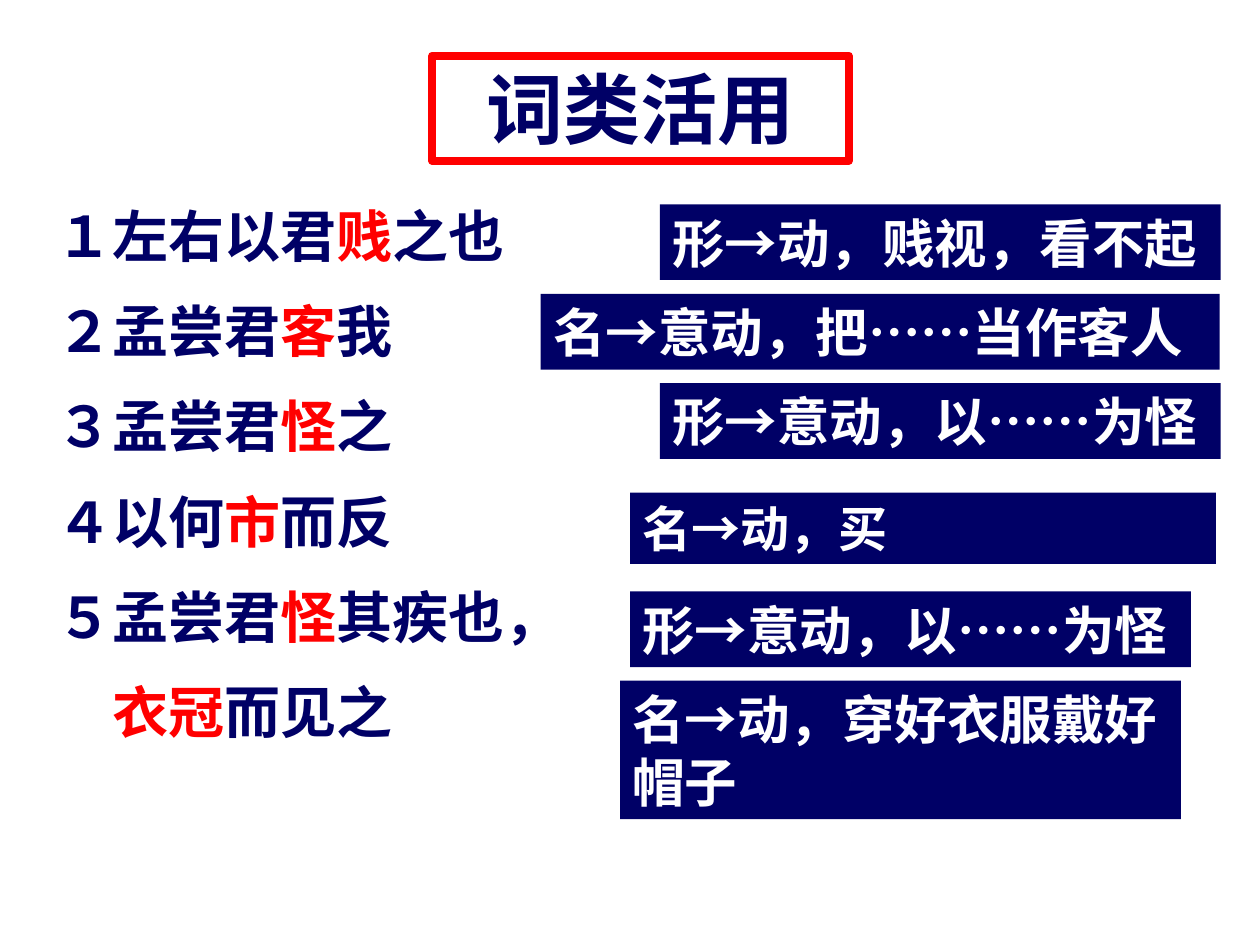
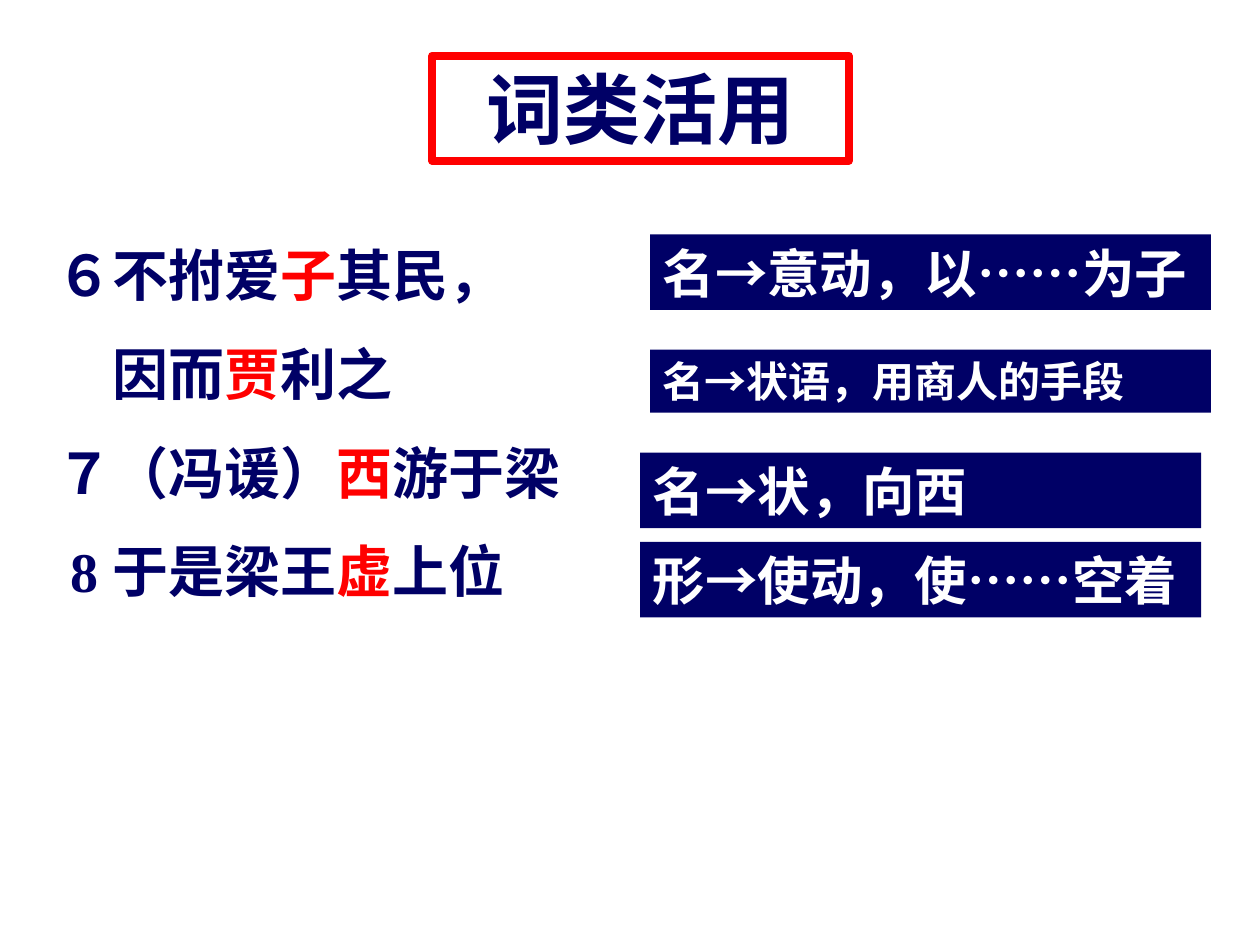
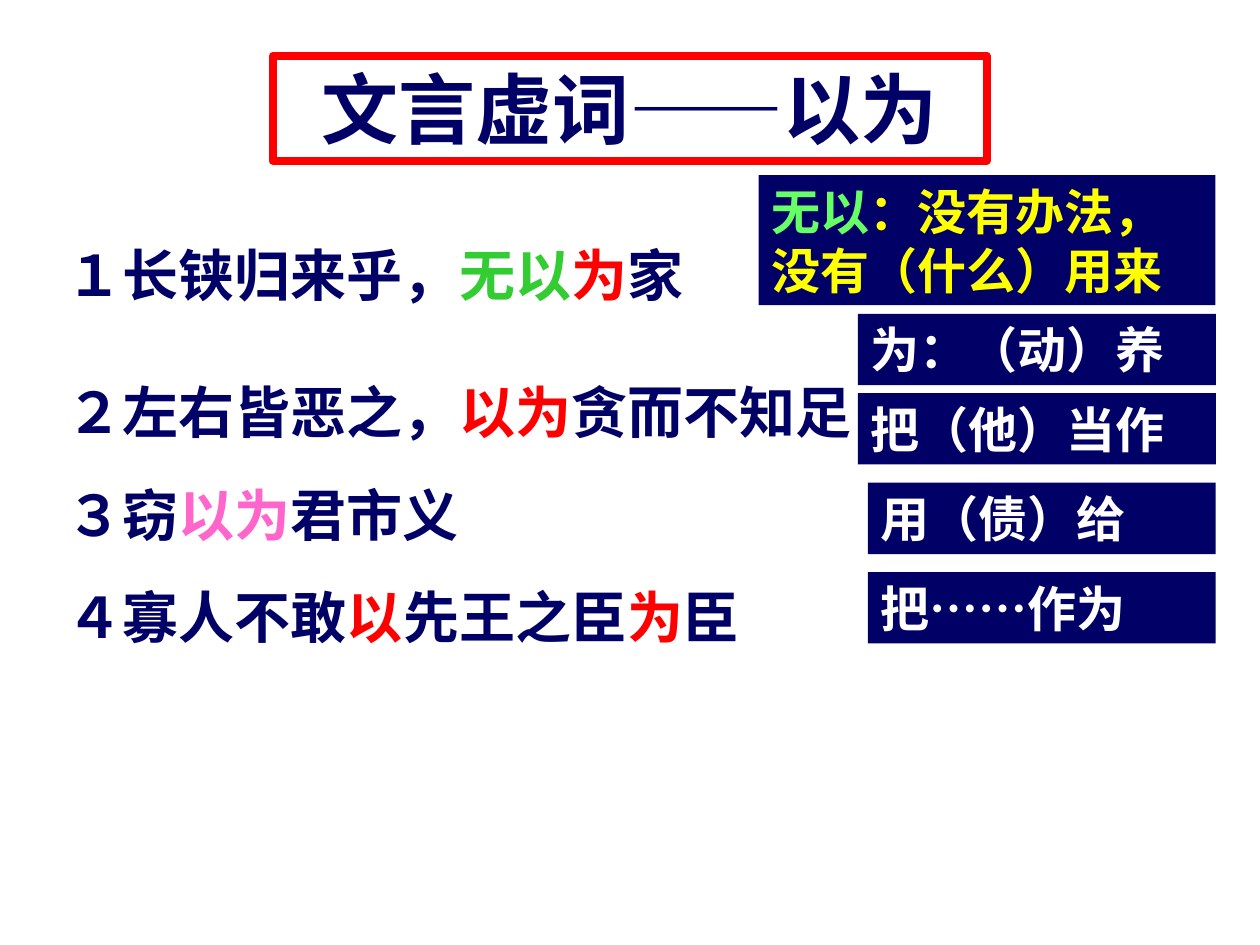
"""Build three slides on word-class shifts and function words in classical Chinese."""
import pptx
import pptx.dml.color
import pptx.enum.shapes
import pptx.enum.text
import pptx.util

Pt = pptx.util.Pt
RGBColor = pptx.dml.color.RGBColor

NAVY = RGBColor(0x00, 0x00, 0x66)
RED = RGBColor(0xFF, 0x00, 0x00)
WHITE = RGBColor(0xFF, 0xFF, 0xFF)
GREEN = RGBColor(0x33, 0xCC, 0x33)
LIGHT_GREEN = RGBColor(0x66, 0xFF, 0x66)
PINK = RGBColor(0xFF, 0x66, 0xCC)
YELLOW = RGBColor(0xFF, 0xFF, 0x00)

FONT = "Times New Roman"
TITLE_SIZE = 44
SENTENCE_SIZE = 32
LINE_HEIGHT = 1.2
INSET_HEIGHT = 7.2


def fill_text(shape, size, paragraphs):
    """Write paragraphs, each a list of (text, colour) runs, into a shape."""
    frame = shape.text_frame
    frame.word_wrap = True
    frame.auto_size = pptx.enum.text.MSO_AUTO_SIZE.SHAPE_TO_FIT_TEXT
    frame.vertical_anchor = pptx.enum.text.MSO_ANCHOR.TOP
    for index, runs in enumerate(paragraphs):
        paragraph = frame.paragraphs[0] if index == 0 else frame.add_paragraph()
        paragraph.alignment = pptx.enum.text.PP_ALIGN.LEFT
        for text, colour in runs:
            run = paragraph.add_run()
            run.text = text
            run.font.name = FONT
            run.font.size = Pt(size)
            run.font.bold = True
            run.font.color.rgb = colour


def add_panel(slide, left, top, width, size, paragraphs, fill, lines=1):
    """Add a filled rectangle as tall as its lines of text."""
    height = round(lines * size * LINE_HEIGHT + INSET_HEIGHT, 2)
    panel = slide.shapes.add_shape(
        pptx.enum.shapes.MSO_SHAPE.RECTANGLE, Pt(left), Pt(top), Pt(width), Pt(height))
    panel.shadow.inherit = False
    panel.fill.solid()
    panel.fill.fore_color.rgb = fill
    panel.line.fill.background()
    fill_text(panel, size, paragraphs)
    return panel


slides = [
    {
        "title": ("词类活用", 247, 238),
        "sentence_box": (25, 111.6, 408),
        "gaps": [0, 16, 16, 16, 16, 16],
        "indents": {5: SENTENCE_SIZE},
        "sentences": [
            [("１左右以君", NAVY), ("贱", RED), ("之也", NAVY)],
            [("２孟尝君", NAVY), ("客", RED), ("我", NAVY)],
            [("３孟尝君", NAVY), ("怪", RED), ("之", NAVY)],
            [("４以何", NAVY), ("市", RED), ("而反", NAVY)],
            [("５孟尝君", NAVY), ("怪", RED), ("其疾也，", NAVY)],
            [("衣冠", RED), ("而见之", NAVY)],
        ],
        "answers": [
            (377, 116.8, 320.5, 30, 1, [[("形→动，贱视，看不起", WHITE)]]),
            (309, 168, 388, 30, 1, [[("名→意动，把……当作客人", WHITE)]]),
            (377, 219, 320.5, 30, 1, [[("形→意动，以……为怪", WHITE)]]),
            (360, 281.5, 334.8, 28, 1, [[("名→动，买", WHITE)]]),
            (360, 338, 320.5, 30, 1, [[("形→意动，以……为怪", WHITE)]]),
            (354.3, 389, 320.5, 30, 2, [[("名→动，穿好衣服戴好帽子", WHITE)]]),
        ],
    },
    {
        "title": ("词类活用", 247, 238),
        "sentence_box": (25, 134, 345.6),
        "gaps": [0, 18, 18, 18],
        "indents": {1: SENTENCE_SIZE, 3: SENTENCE_SIZE / 4},
        "sentences": [
            [("６不拊爱", NAVY), ("子", RED), ("其民，", NAVY)],
            [("因而", NAVY), ("贾", RED), ("利之", NAVY)],
            [("７（冯谖）", NAVY), ("西", RED), ("游于梁", NAVY)],
            [("8 于是梁王", NAVY), ("虚", RED), ("上位", NAVY)],
        ],
        "answers": [
            (371.5, 134, 320.5, 30, 1, [[("名→意动，以……为子", WHITE)]]),
            (371.5, 199.8, 320.5, 24, 1, [[("名→状语，用商人的手段", WHITE)]]),
            (365.8, 258.7, 320.5, 30, 1, [[("名→状，向西", WHITE)]]),
            (365.8, 309.7, 320.5, 30, 1, [[("形→使动，使……空着", WHITE)]]),
        ],
    },
    {
        "title": ("文言虚词——以为", 155.8, 408),
        "sentence_box": (31, 134, 499),
        "gaps": [0, 40, 20, 20],
        "indents": {},
        "sentences": [
            [("１长铗归来乎，", NAVY), ("无以", GREEN), ("为", RED), ("家", NAVY)],
            [("２左右皆恶之，", NAVY), ("以为", RED), ("贪而不知足", NAVY)],
            [("３窃", NAVY), ("以为", PINK), ("君市义", NAVY)],
            [("４寡人不敢", NAVY), ("以", RED), ("先王之臣", NAVY), ("为", RED), ("臣", NAVY)],
        ],
        "answers": [
            (490.3, 179.3, 204.5, 28, 1, [[("为：（动）养", WHITE)]]),
            (490.3, 224.6, 204.5, 28, 1, [[("把（他）当作", WHITE)]]),
            (496, 275.8, 198.7, 28, 1, [[("用（债）给", WHITE)]]),
            (496, 326.9, 198.7, 28, 1, [[("把……作为", WHITE)]]),
            (433.6, 100, 261, 28, 2, [
                [("无以", LIGHT_GREEN), ("：没有办法，", YELLOW)],
                [("没有（什么）用来", YELLOW)],
            ]),
        ],
    },
]

presentation = pptx.Presentation()
presentation.slide_width = Pt(720)
presentation.slide_height = Pt(540)

for content in slides:
    slide = presentation.slides.add_slide(presentation.slide_layouts[6])

    left, top, width = content["sentence_box"]
    sentences = content["sentences"]
    height = len(sentences) * SENTENCE_SIZE * LINE_HEIGHT + sum(content["gaps"]) + INSET_HEIGHT
    sentence_box = slide.shapes.add_textbox(Pt(left), Pt(top), Pt(width), Pt(height))
    fill_text(sentence_box, SENTENCE_SIZE, sentences)
    for index, paragraph in enumerate(sentence_box.text_frame.paragraphs):
        paragraph.space_before = Pt(content["gaps"][index])
        if index in content["indents"]:
            properties = paragraph._p.get_or_add_pPr()
            properties.set("marL", str(Pt(content["indents"][index])))
            properties.set("indent", "0")

    title, left, width = content["title"]
    title_box = add_panel(slide, left, 31.8, width, TITLE_SIZE, [[(title, NAVY)]], WHITE)
    title_box.line.color.rgb = RED
    title_box.line.width = Pt(4.5)
    title_box.text_frame.paragraphs[0].alignment = pptx.enum.text.PP_ALIGN.CENTER

    for left, top, width, size, lines, paragraphs in content["answers"]:
        add_panel(slide, left, top, width, size, paragraphs, NAVY, lines)

presentation.save("out.pptx")
